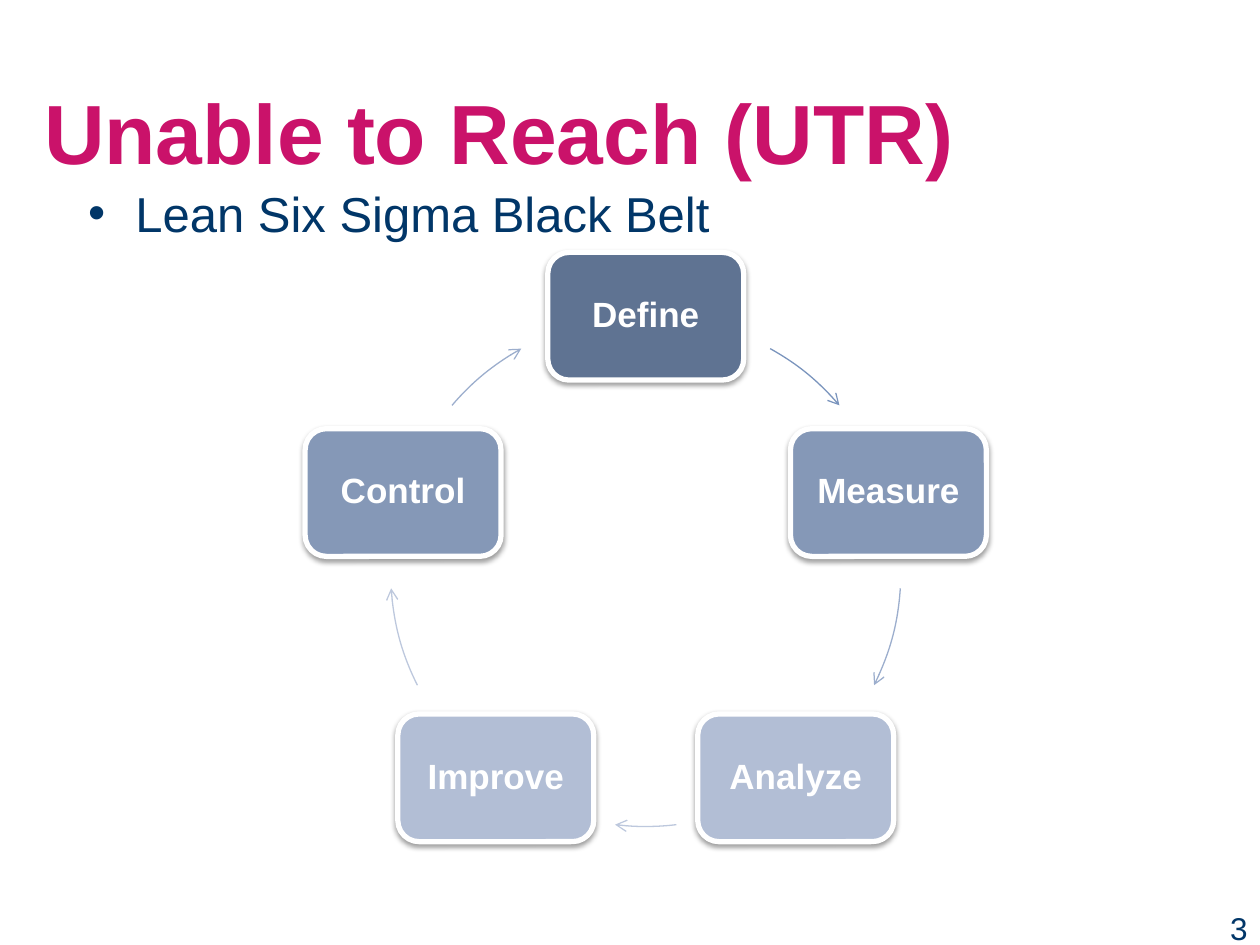
from math import cos, radians, sin

from lxml.etree import SubElement
from pptx import Presentation
from pptx.dml.color import RGBColor
from pptx.enum.shapes import MSO_SHAPE
from pptx.enum.text import MSO_ANCHOR, MSO_AUTO_SIZE, PP_ALIGN
from pptx.oxml.ns import qn
from pptx.util import Pt

COLORS = {
    "title": "CA126A", "body": "013668", "white": "FFFFFF", "black": "000000",
    "dark": "5F7392", "medium": "8598B7", "light": "B2BED5",
    "arrow_dark": "7A94BD", "arrow_medium": "9CAECD", "arrow_light": "BDC8DD",
}
CENTER_X, CENTER_Y, RADIUS = 369, 326.5, 145.8
BOX_WIDTH, BOX_HEIGHT = 112, 73
STEPS = [
    ("Define", "dark", "arrow_dark", 299.2, 319.4),
    ("Measure", "medium", "arrow_medium", 3.8, 26.5),
    ("Analyze", "light", "arrow_light", 83.1, 96.9),
    ("Improve", "light", "arrow_light", 153.5, 176.2),
    ("Control", "medium", "arrow_medium", 220.6, 240.8),
]


def color(name):
    """Return the named palette colour."""
    return RGBColor.from_string(COLORS[name])


def place(shape, left, top, width, height):
    """Move and size a shape, in points."""
    shape.left, shape.top = Pt(left), Pt(top)
    shape.width, shape.height = Pt(width), Pt(height)


def write(shape, text, size, color_name, alignment, anchor, bold=False):
    """Fill a shape with one formatted paragraph and return it."""
    frame = shape.text_frame
    frame.text = text
    frame.word_wrap = True
    frame.auto_size = MSO_AUTO_SIZE.NONE
    frame.vertical_anchor = anchor
    paragraph = frame.paragraphs[0]
    paragraph.alignment = alignment
    font = paragraph.runs[0].font
    font.name, font.size, font.bold = "Arial", Pt(size), bold
    font.color.rgb = color(color_name)
    return paragraph


def add_bullet(paragraph, indent):
    """Give a paragraph a hanging round bullet."""
    properties = paragraph._p.get_or_add_pPr()
    properties.set("marL", str(Pt(indent)))
    properties.set("indent", str(-Pt(indent)))
    SubElement(properties, qn("a:buChar"), char="•")


def add_soft_shadow(shape):
    """Put a soft shadow directly below a shape."""
    shape.shadow.inherit = False
    effects = shape.element.spPr.find(qn("a:effectLst"))
    shadow = SubElement(effects, qn("a:outerShdw"), blurRad=str(Pt(3.1)),
                        dist=str(Pt(1.6)), dir="5400000", rotWithShape="0")
    shade = SubElement(shadow, qn("a:srgbClr"), val=COLORS["black"])
    SubElement(shade, qn("a:alpha"), val="38000")


def add_step(slide, label, fill, angle):
    """Add a rounded step box centred on the cycle at an angle."""
    center_x = CENTER_X + RADIUS * cos(radians(angle))
    center_y = CENTER_Y + RADIUS * sin(radians(angle))
    shape = slide.shapes.add_shape(
        MSO_SHAPE.ROUNDED_RECTANGLE,
        Pt(center_x - BOX_WIDTH / 2), Pt(center_y - BOX_HEIGHT / 2),
        Pt(BOX_WIDTH), Pt(BOX_HEIGHT))
    shape.fill.solid()
    shape.fill.fore_color.rgb = color(fill)
    shape.line.color.rgb = color("white")
    shape.line.width = Pt(3)
    add_soft_shadow(shape)
    paragraph = write(shape, label, 20, "white", PP_ALIGN.CENTER, MSO_ANCHOR.MIDDLE, True)
    paragraph.line_spacing = 0.9


def add_cycle_arrow(slide, line_color, start, end):
    """Add a clockwise arc arrow between two angles in degrees."""
    arc = slide.shapes.add_shape(
        MSO_SHAPE.ARC, Pt(CENTER_X - RADIUS), Pt(CENTER_Y - RADIUS),
        Pt(2 * RADIUS), Pt(2 * RADIUS))
    arc.adjustments[0] = start * 0.6
    arc.adjustments[1] = end * 0.6
    arc.shadow.inherit = False
    arc.fill.background()
    arc.line.color.rgb = color(line_color)
    arc.line.width = Pt(0.75)
    SubElement(arc.element.spPr.get_or_add_ln(), qn("a:tailEnd"), type="arrow")


def add_heading(slide):
    """Fill the title and the bulleted body."""
    title, body = slide.shapes.title, slide.placeholders[1]
    place(title, 18, 30, 648, 90)
    write(title, "Unable to Reach (UTR)", 48, "title", PP_ALIGN.LEFT, MSO_ANCHOR.MIDDLE, True)
    place(body, 43.2, 84.2, 648, 84.2)
    paragraph = write(body, "Lean Six Sigma Black Belt", 28, "body",
                      PP_ALIGN.LEFT, MSO_ANCHOR.TOP)
    paragraph.line_spacing = 1.5
    paragraph.space_before = Pt(0)
    add_bullet(paragraph, 27)


def add_page_number(slide):
    """Add the page number at the bottom right."""
    box = slide.shapes.add_textbox(Pt(552), Pt(516), Pt(168), Pt(18))
    write(box, "3", 18, "body", PP_ALIGN.RIGHT, MSO_ANCHOR.TOP)


def main():
    """Build and save the slide."""
    presentation = Presentation()
    presentation.slide_width, presentation.slide_height = Pt(720), Pt(540)
    slide = presentation.slides.add_slide(presentation.slide_layouts[1])
    add_heading(slide)
    for index, (label, fill, line_color, start, end) in enumerate(STEPS):
        add_step(slide, label, fill, index * 360 / len(STEPS) - 90)
        add_cycle_arrow(slide, line_color, start, end)
    add_page_number(slide)
    presentation.save("out.pptx")


if __name__ == "__main__":
    main()
